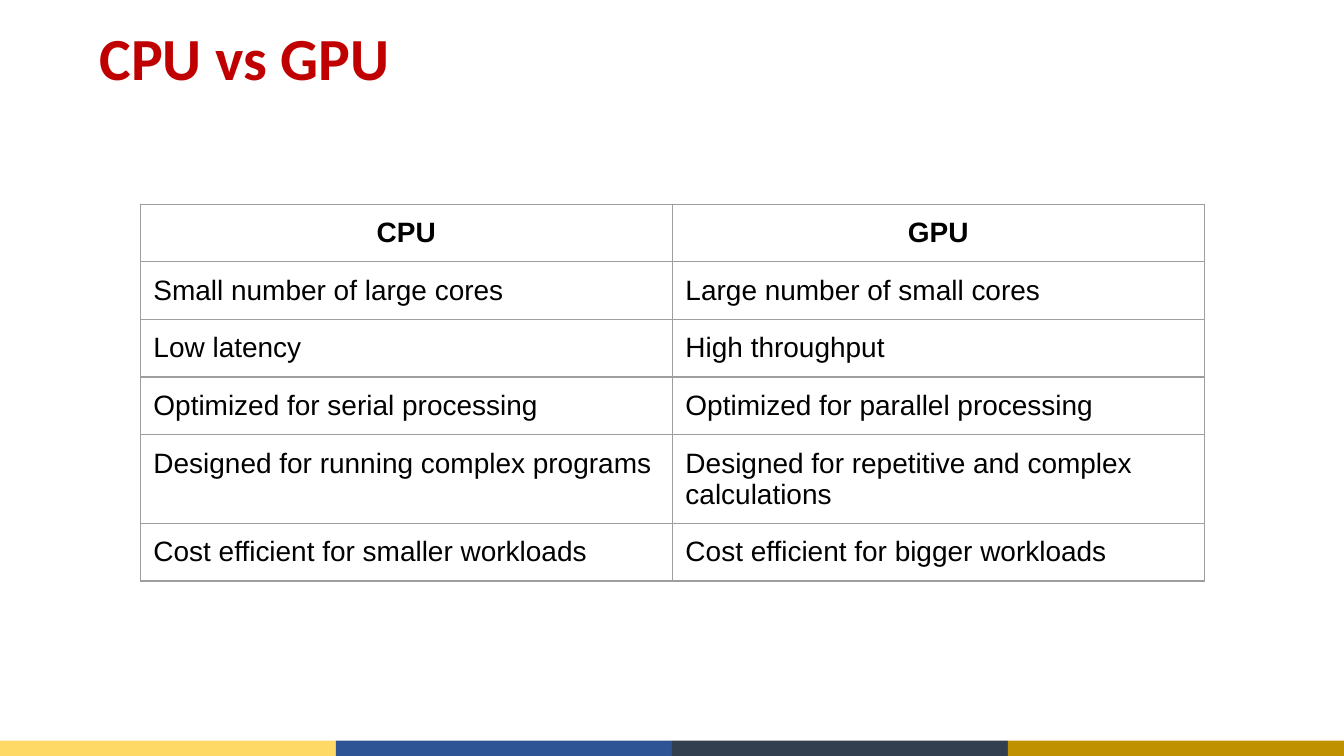
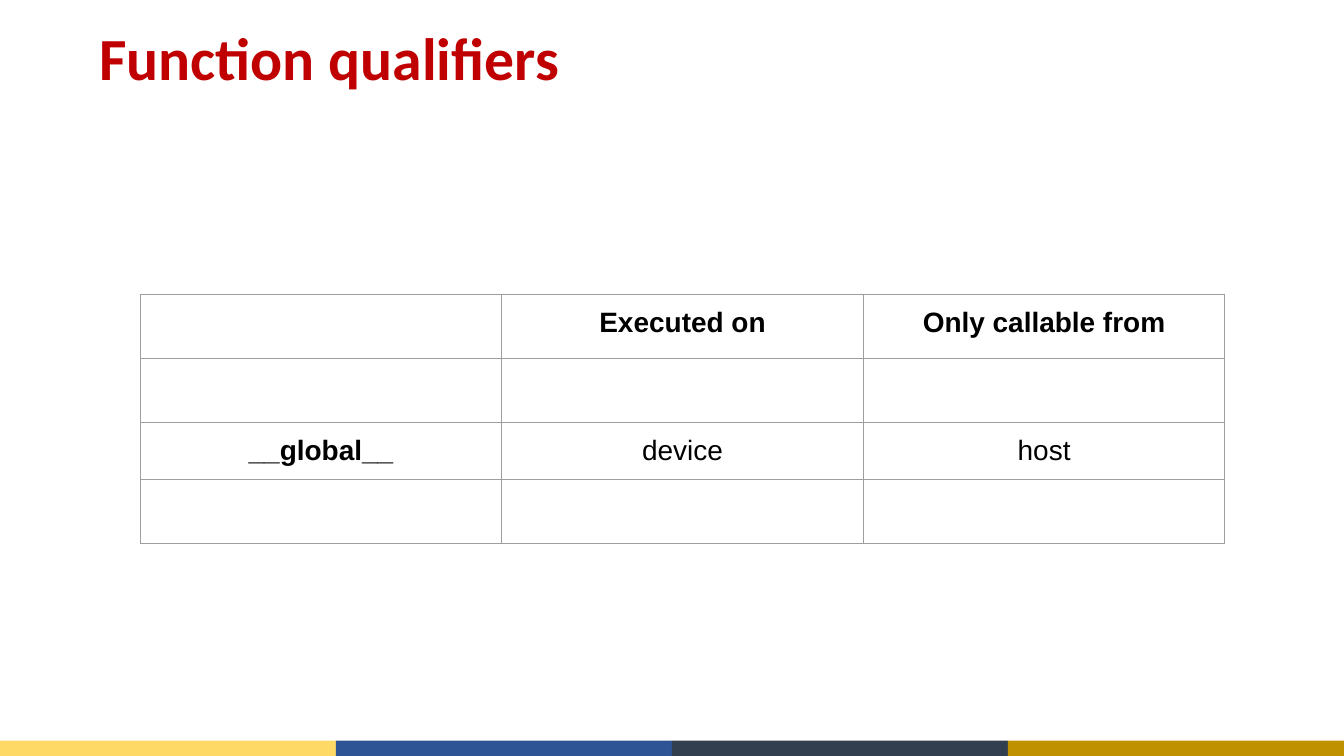
from lxml.etree import SubElement
from pptx import Presentation
from pptx.dml.color import RGBColor
from pptx.enum.shapes import MSO_SHAPE
from pptx.enum.text import MSO_ANCHOR, MSO_AUTO_SIZE, PP_ALIGN
from pptx.oxml.ns import qn
from pptx.util import Cm, Pt

WHITE = RGBColor(0xFF, 0xFF, 0xFF)
BLACK = RGBColor(0x00, 0x00, 0x00)
RED = RGBColor(0xC0, 0x00, 0x00)
GREY = RGBColor(0x9E, 0x9E, 0x9E)
YELLOW = RGBColor(0xFF, 0xD9, 0x66)
BLUE = RGBColor(0x2F, 0x54, 0x96)
SLATE = RGBColor(0x32, 0x3F, 0x4F)
GOLD = RGBColor(0xBF, 0x90, 0x00)
BANDS = [YELLOW, BLUE, SLATE, GOLD]

SLIDE_W, SLIDE_H = Cm(25.4), Cm(14.29)
BAND_H = Cm(0.29)
TITLE_BOX = (Cm(1.75), Cm(0.18), Cm(21.89), Cm(1.96))
ROW_H, EMPTY_ROW_H = Cm(1.07), Cm(1.21)

COMPARISON = [
    ["CPU", "GPU"],
    ["Small number of large cores", "Large number of small cores"],
    ["Low latency", "High throughput"],
    ["Optimized for serial processing", "Optimized for parallel processing"],
    ["Designed for running complex programs",
     "Designed for repetitive and complex calculations"],
    ["Cost efficient for smaller workloads",
     "Cost efficient for bigger workloads"],
]
QUALIFIERS = [
    ["", "Executed on", "Only callable from"],
    ["", "", ""],
    ["__global__", "device", "host"],
    ["", "", ""],
]


def add_run(p, text, font, size, color, bold):
    r = p.add_run()
    r.text = text
    r.font.name = font
    r.font.size = Pt(size)
    r.font.bold = bold
    r.font.color.rgb = color


def add_footer(s, left, top, width, height):
    band_w = width // len(BANDS)
    for i, color in enumerate(BANDS):
        sp = s.shapes.add_shape(MSO_SHAPE.RECTANGLE, left + i * band_w, top,
                                band_w, height)
        sp.shadow.inherit = False
        sp.fill.solid()
        sp.fill.fore_color.rgb = color
        sp.line.fill.background()


def add_title(s, text, left, top, width, height):
    sp = s.shapes.title
    sp.left, sp.top, sp.width, sp.height = left, top, width, height
    tf = sp.text_frame
    tf.word_wrap = True
    tf.auto_size = MSO_AUTO_SIZE.NONE
    tf.vertical_anchor = MSO_ANCHOR.MIDDLE
    tf.margin_left = tf.margin_right = Cm(0.13)
    tf.margin_top = tf.margin_bottom = Cm(0.05)
    p = tf.paragraphs[0]
    p.alignment = PP_ALIGN.LEFT
    p.line_spacing = 0.9
    add_run(p, text, "Calibri", 32, RED, True)


def set_borders(cell, color, width):
    props = cell._tc.get_or_add_tcPr()
    for side in ("a:lnL", "a:lnR", "a:lnT", "a:lnB"):
        line = SubElement(props, qn(side), w=str(width))
        fill = SubElement(line, qn("a:solidFill"))
        SubElement(fill, qn("a:srgbClr"), val=str(color))


def format_cell(cell, text, align, bold):
    set_borders(cell, GREY, Pt(0.75))
    cell.fill.background()
    if text:
        cell.margin_left = cell.margin_right = Cm(0.25)
        cell.margin_top = cell.margin_bottom = Cm(0.25)
        p = cell.text_frame.paragraphs[0]
        p.alignment = align
        add_run(p, text, "Arial", 15, BLACK, bold)


def add_grid(s, rows, left, top, width, body_align, bold_first_col):
    heights = [ROW_H if all(row) else EMPTY_ROW_H for row in rows]
    n_cols = len(rows[0])
    table = s.shapes.add_table(len(rows), n_cols, left, top, width,
                               sum(heights)).table
    table.first_row = table.horz_banding = False
    for column in table.columns:
        column.width = width // n_cols
    for i, row in enumerate(rows):
        table.rows[i].height = heights[i]
        for j, text in enumerate(row):
            align = PP_ALIGN.CENTER if i == 0 else body_align
            bold = i == 0 or (bold_first_col and j == 0)
            format_cell(table.cell(i, j), text, align, bold)


def add_table_slide(prs, title, rows, top, width, body_align,
                    bold_first_col=False):
    s = prs.slides.add_slide(prs.slide_layouts[5])
    s.background.fill.solid()
    s.background.fill.fore_color.rgb = WHITE
    add_footer(s, 0, SLIDE_H - BAND_H, SLIDE_W, BAND_H)
    add_title(s, title, *TITLE_BOX)
    add_grid(s, rows, Cm(2.65), top, width, body_align, bold_first_col)


def main():
    prs = Presentation()
    prs.slide_width, prs.slide_height = SLIDE_W, SLIDE_H
    add_table_slide(prs, "CPU vs GPU", COMPARISON, Cm(3.86), Cm(20.11),
                    PP_ALIGN.LEFT)
    add_table_slide(prs, "Function qualifiers", QUALIFIERS, Cm(5.56),
                    Cm(20.5), PP_ALIGN.CENTER, bold_first_col=True)
    prs.save("out.pptx")


if __name__ == "__main__":
    main()
